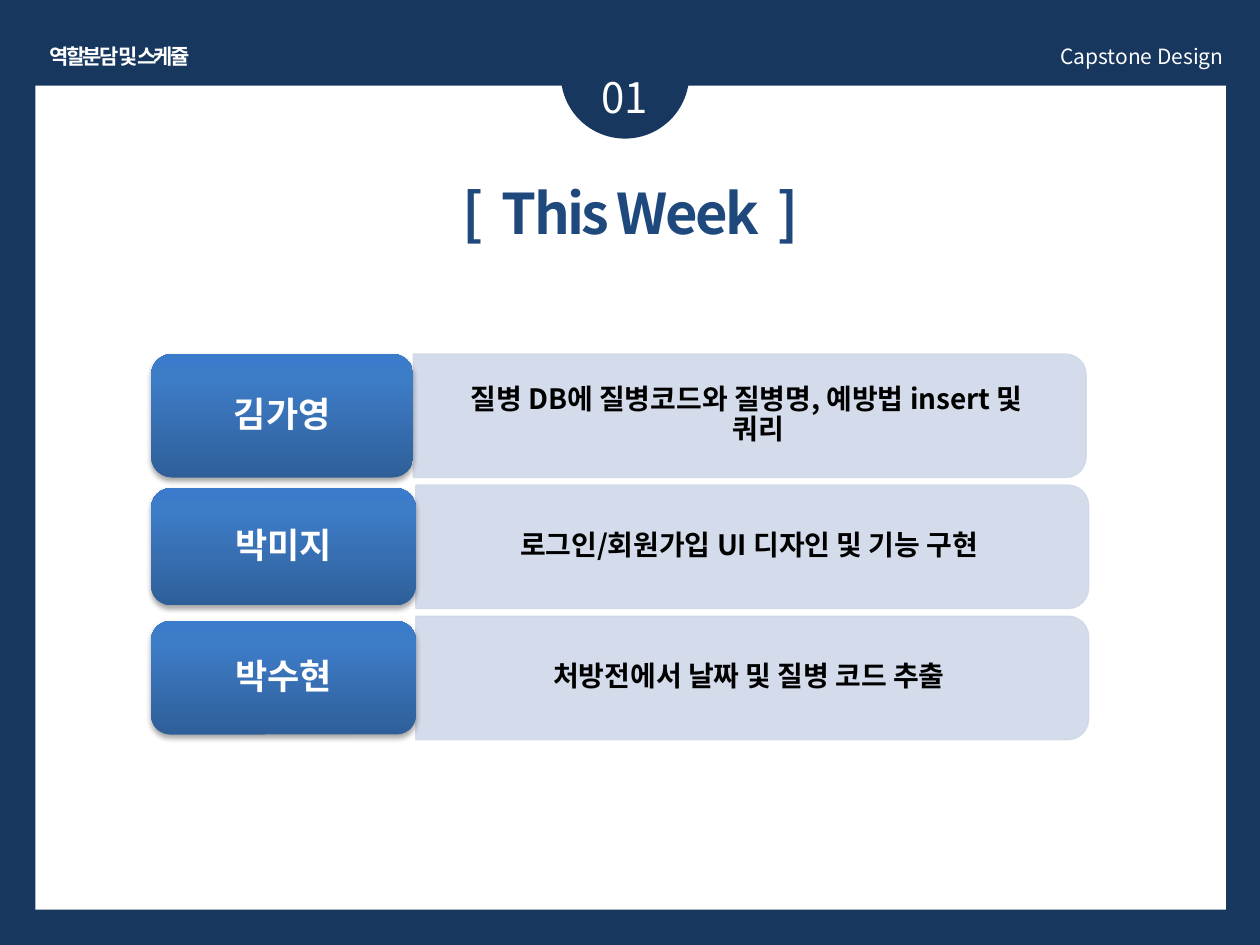
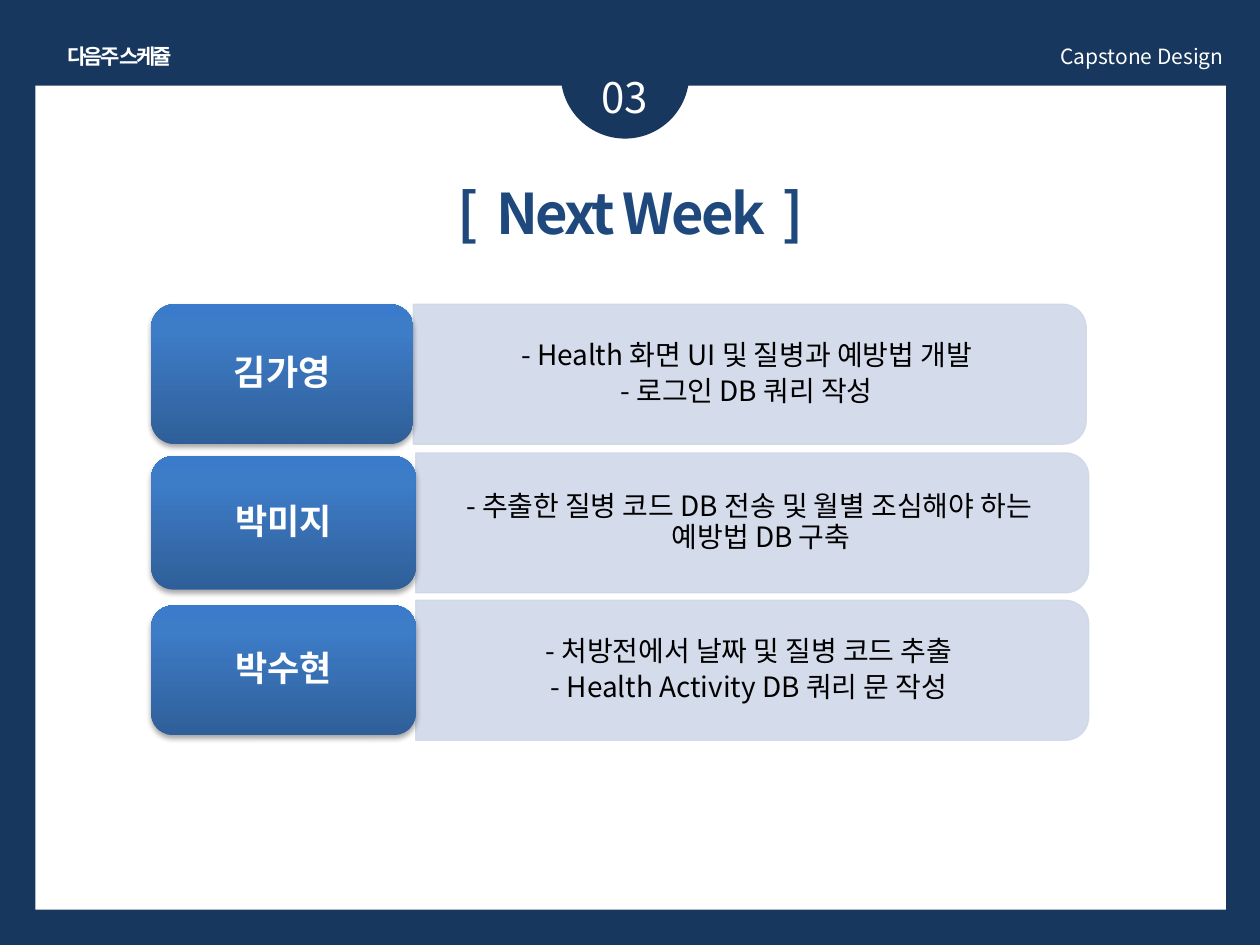
"""Builds the two weekly role and schedule slides of the Capstone Design deck."""
import dataclasses

import pptx
import pptx.dml.color
import pptx.enum.shapes
import pptx.enum.text
import pptx.oxml
import pptx.oxml.ns
import pptx.util

Inches = pptx.util.Inches
Pt = pptx.util.Pt
RGB = pptx.dml.color.RGBColor.from_string
qn = pptx.oxml.ns.qn
SHAPE = pptx.enum.shapes.MSO_SHAPE
ALIGN = pptx.enum.text.PP_ALIGN
ANCHOR = pptx.enum.text.MSO_ANCHOR
AUTO = pptx.enum.text.MSO_AUTO_SIZE


@dataclasses.dataclass(frozen=True)
class Theme:
    font: str = "Noto Sans CJK KR"
    navy: str = "17375E"
    title: str = "1F497D"
    white: str = "FFFFFF"
    black: str = "000000"
    panel: str = "D0D8E8"
    gradient: tuple = ((0, "2F5F99"), (80, "3D7CC7"), (100, "3A7CCB"))
    title_size: int = 32
    number_size: int = 24
    name_size: int = 20
    detail_size: int = 16
    header_size: int = 12


theme = Theme()
DRAWING_NS = 'xmlns:a="http://schemas.openxmlformats.org/drawingml/2006/main"'
stops = "".join(
    f'<a:gs pos="{pos * 1000}"><a:srgbClr val="{color}"/></a:gs>' for pos, color in theme.gradient
)
GRADIENT = (
    f'<a:gradFill {DRAWING_NS} rotWithShape="1"><a:gsLst>{stops}</a:gsLst>'
    '<a:lin ang="16200000" scaled="0"/></a:gradFill>'
)
SHADOW = (
    f'<a:effectLst {DRAWING_NS}><a:outerShdw blurRad="40000" dist="23000" dir="5400000" '
    f'rotWithShape="0"><a:srgbClr val="{theme.black}"><a:alpha val="35000"/></a:srgbClr>'
    "</a:outerShdw></a:effectLst>"
)


def write(sp, *lines, size, color=theme.white, bold=False, align=ALIGN.CENTER, anchor=ANCHOR.TOP,
          insets=(0.1, 0.05), wrap=True, grow=False, tracking=0, hanging=0, line=1.0, after=0):
    """Fill a shape with formatted paragraphs."""
    tf = sp.text_frame
    tf.word_wrap = wrap
    tf.auto_size = AUTO.SHAPE_TO_FIT_TEXT if grow else AUTO.NONE
    tf.vertical_anchor = anchor
    tf.margin_left = tf.margin_right = Inches(insets[0])
    tf.margin_top = tf.margin_bottom = Inches(insets[1])
    for i, text in enumerate(lines):
        p = tf.add_paragraph() if i else tf.paragraphs[0]
        p.alignment = align
        p.line_spacing = line
        p.space_before = Pt(0)
        p.space_after = Pt(after)
        if hanging:
            pPr = p._p.get_or_add_pPr()
            pPr.set("marL", str(Inches(hanging)))
            pPr.set("indent", str(-Inches(hanging)))
        r = p.add_run()
        r.text = text
        r.font.size = Pt(size)
        r.font.bold = bold
        r.font.color.rgb = RGB(color)
        r.font.name = theme.font
        rPr = r._r.get_or_add_rPr()
        rPr.set("spc", str(int(tracking * 100)))
        ea = pptx.oxml.parse_xml(f'<a:ea {DRAWING_NS} typeface="{theme.font}"/>')
        rPr.find(qn("a:latin")).addnext(ea)


def add_box(slide, kind, x, y, w, h, fill):
    """Add a flat, borderless preset shape."""
    sp = slide.shapes.add_shape(kind, Inches(x), Inches(y), Inches(w), Inches(h))
    sp.shadow.inherit = False
    sp.fill.solid()
    sp.fill.fore_color.rgb = RGB(fill)
    sp.line.fill.background()
    return sp


slides = [
    dict(
        header="역할분담 및 스케쥴", header_width=1.46, number="01", title="[  This Week  ]",
        centers=(3.3, 4.34, 5.38), height=0.98, bold=True,
        rows=[
            ("김가영", ["질병 DB에 질병코드와 질병명, 예방법 insert 및 쿼리"]),
            ("박미지", ["로그인/회원가입 UI 디자인 및 기능 구현"]),
            ("박수현", ["처방전에서 날짜 및 질병 코드 추출"]),
        ],
    ),
    dict(
        header="다음주 스케쥴", header_width=1.12, number="03", title="[  Next Week  ]",
        centers=(2.97, 4.15, 5.32), height=1.11, bold=False,
        rows=[
            ("김가영", ["- Health 화면 UI 및 질병과 예방법 개발", "- 로그인 DB 쿼리 작성"]),
            ("박미지", ["- 추출한 질병 코드 DB 전송 및 월별 조심해야 하는 예방법 DB 구축"]),
            ("박수현", ["- 처방전에서 날짜 및 질병 코드 추출", "- Health Activity DB 쿼리 문 작성"]),
        ],
    ),
]
name_left = 1.2
name_widths = (2.08, 2.1, 2.1)
name_trims = (0, 0.05, 0.08)
panel_length = 5.34

prs = pptx.Presentation()
prs.slide_width = Inches(10)
prs.slide_height = Inches(7.5)
background = prs.slide_master.background.fill
background.solid()
background.fore_color.rgb = RGB(theme.navy)

for content in slides:
    slide = prs.slides.add_slide(prs.slide_layouts[5])
    add_box(slide, SHAPE.RECTANGLE, 0.28, 0.68, 9.45, 6.54, theme.white)
    add_box(slide, SHAPE.OVAL, 4.45, 0.08, 1.02, 1.02, theme.navy)
    sp = slide.shapes.add_textbox(Inches(4.37), Inches(0.52), Inches(1.18), Inches(0.5))
    write(sp, content["number"], size=theme.number_size, grow=True)

    title = slide.shapes.title
    title.left, title.top = Inches(2.72), Inches(1.37)
    title.width, title.height = Inches(4.57), Inches(0.64)
    write(title, content["title"], size=theme.title_size, color=theme.title, bold=True,
          grow=True, tracking=-1.5)
    slide.shapes._spTree.append(title._element)

    height = content["height"]
    for (name, details), center, width, trim in zip(
        content["rows"], content["centers"], name_widths, name_trims
    ):
        panel_left = name_left + width
        panel = add_box(slide, SHAPE.ROUND_2_SAME_RECTANGLE,
                        panel_left + (panel_length - height) / 2, center - panel_length / 2,
                        height, panel_length, theme.panel)
        panel.rotation = 90
        panel.line.color.rgb = RGB(theme.panel)
        panel.line.width = Pt(0.75)
        for color in panel._element.spPr.iter(qn("a:srgbClr")):
            color.append(pptx.oxml.parse_xml(f'<a:alpha {DRAWING_NS} val="90000"/>'))

        sp = slide.shapes.add_textbox(Inches(panel_left), Inches(center - height / 2 + 0.05),
                                      Inches(5.29), Inches(height - 0.1))
        write(sp, *details, size=theme.detail_size, color=theme.black, bold=content["bold"],
              anchor=ANCHOR.MIDDLE, insets=(0.27, 0.14), hanging=0.19, line=0.9, after=3)

        name_height = height - trim
        sp = add_box(slide, SHAPE.ROUNDED_RECTANGLE, name_left, center - name_height / 2,
                     width, name_height, theme.navy)
        spPr = sp._element.spPr
        spPr.replace(spPr.find(qn("a:solidFill")), pptx.oxml.parse_xml(GRADIENT))
        spPr.replace(spPr.find(qn("a:effectLst")), pptx.oxml.parse_xml(SHADOW))
        write(sp, name, size=theme.name_size, bold=True, anchor=ANCHOR.MIDDLE,
              insets=(0.08, 0.04), line=0.9, after=7)

    sp = slide.shapes.add_textbox(Inches(5.87), Inches(0.3), Inches(3.94), Inches(0.3))
    write(sp, "Capstone Design", size=theme.header_size, align=ALIGN.RIGHT, grow=True)
    header_width = content["header_width"]
    sp = slide.shapes.add_textbox(Inches(0.95 - header_width / 2), Inches(0.3),
                                  Inches(header_width), Inches(0.3))
    write(sp, content["header"], size=theme.header_size, bold=True, wrap=False, grow=True,
          tracking=-1.5)

prs.save("out.pptx")
